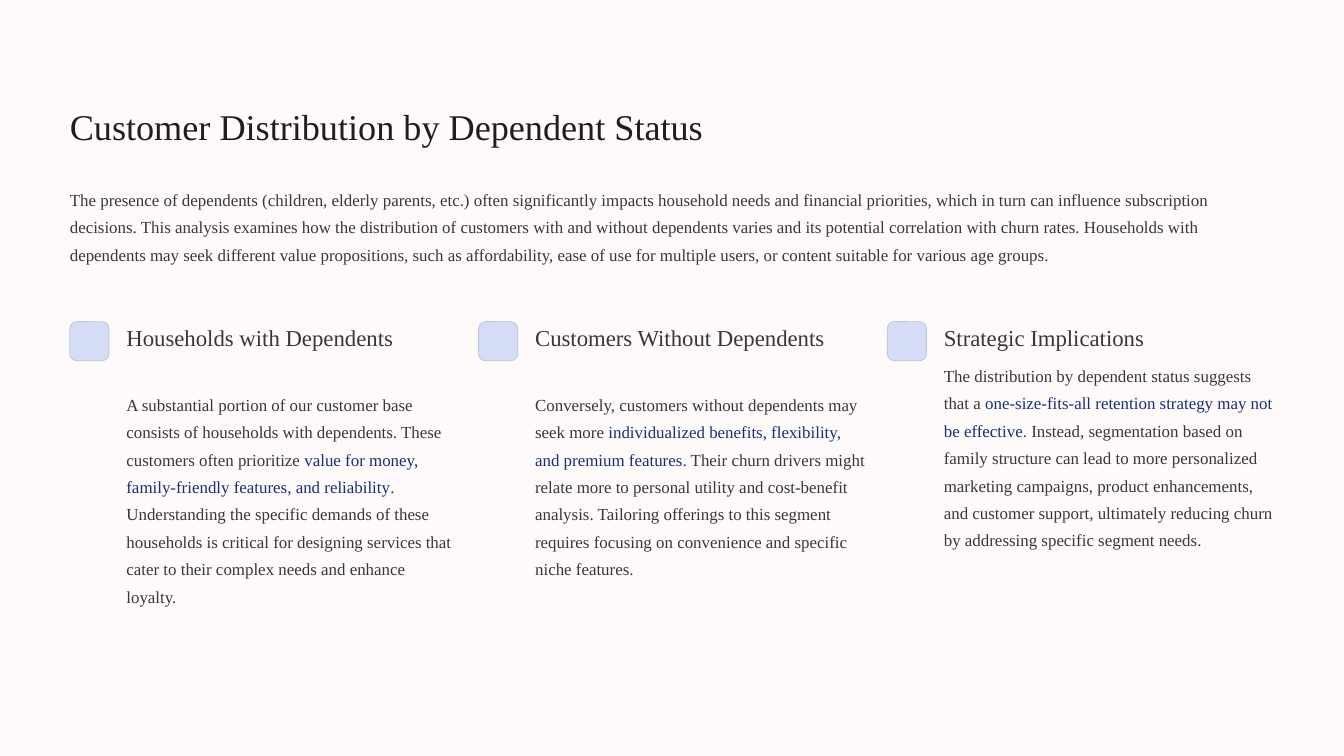
from dataclasses import dataclass

from pptx import Presentation
from pptx.dml.color import RGBColor as Rgb
from pptx.enum.shapes import MSO_SHAPE as Kind
from pptx.enum.text import MSO_ANCHOR as Anchor, MSO_AUTO_SIZE as Fit, PP_ALIGN as Align
from pptx.util import Pt
from lxml.etree import SubElement


@dataclass(frozen=True)
class Theme:
    font: str = "Times New Roman"
    back: Rgb = Rgb.from_string("FFFAFA")
    dark: Rgb = Rgb.from_string("1F1E1E")
    ink: Rgb = Rgb.from_string("3B3535")
    accent: Rgb = Rgb.from_string("1A2D7A")
    tile: Rgb = Rgb.from_string("D5DCF6")
    edge: Rgb = Rgb.from_string("BBC2DC")
    # Each style is type size and line pitch
    title: tuple = (38.8, 48.8)
    head: tuple = (24.4, 30.6)
    body: tuple = (18.1, 29.4)


THEME = Theme()

TITLE = "Customer Distribution by Dependent Status"
INTRO = (
    "The presence of dependents (children, elderly parents, etc.) often significantly "
    "impacts household needs and financial priorities, which in turn can influence "
    "subscription decisions. This analysis examines how the distribution of customers "
    "with and without dependents varies and its potential correlation with churn rates. "
    "Households with dependents may seek different value propositions, such as "
    "affordability, ease of use for multiple users, or content suitable for various "
    "age groups."
)
# Heading, heading height, then body text before, in and after the accent
GROUPS = [
    ("Households with Dependents", 67, (
        "A substantial portion of our customer base consists of households with "
        "dependents. These customers often prioritize ",
        "value for money, family-friendly features, and reliability",
        ". Understanding the specific demands of these households is critical for "
        "designing services that cater to their complex needs and enhance loyalty.")),
    ("Customers Without Dependents", 67, (
        "Conversely, customers without dependents may seek more ",
        "individualized benefits, flexibility, and premium features",
        ". Their churn drivers might relate more to personal utility and cost-benefit "
        "analysis. Tailoring offerings to this segment requires focusing on convenience "
        "and specific niche features.")),
    ("Strategic Implications", 36, (
        "The distribution by dependent status suggests that a ",
        "one-size-fits-all retention strategy may not be effective",
        ". Instead, segmentation based on family structure can lead to more personalized "
        "marketing campaigns, product enhancements, and customer support, ultimately "
        "reducing churn by addressing specific segment needs.")),
]


def place(shape, x, y, w, h):
    shape.left, shape.top, shape.width, shape.height = Pt(x), Pt(y), Pt(w), Pt(h)


def write(shape, parts, style, color):
    """Fill a text shape; every second part takes the accent colour."""
    size, pitch = style
    frame = shape.text_frame
    frame.word_wrap = True
    frame.auto_size = Fit.NONE
    frame.vertical_anchor = Anchor.TOP
    frame.margin_left = frame.margin_right = 0
    frame.margin_top = frame.margin_bottom = 0
    para = frame.paragraphs[0]
    para.alignment = Align.LEFT
    para.line_spacing = Pt(pitch)
    para.space_before = Pt(0)
    for i, part in enumerate(parts):
        run = para.add_run()
        run.text = part
        run.font.name = THEME.font
        run.font.size = Pt(size)
        run.font.color.rgb = THEME.accent if i % 2 else color
    return para


def add_intro(slide, x, y, w):
    """Title with the opening paragraph under it."""
    title, body = slide.placeholders
    place(title, x, y, w, 58)
    write(title, [TITLE], THEME.title, THEME.dark)
    place(body, x, y + 85.7, w, 128)
    props = write(body, [INTRO], THEME.body, THEME.ink)._p.get_or_add_pPr()
    # Plain paragraph: no bullet, no hanging indent
    props.set("marL", "0")
    props.set("indent", "0")
    SubElement(props, props.tag.replace("pPr", "buNone"))


def add_group(slide, x, y, w, h, group):
    """Tile at the left, heading and body beside it."""
    name, tall, parts = group
    side, inset = 42, 60.6
    tile = slide.shapes.add_shape(Kind.ROUNDED_RECTANGLE, Pt(x), Pt(y), Pt(side), Pt(side))
    tile.adjustments[0] = 0.18
    tile.shadow.inherit = False
    tile.fill.solid()
    tile.fill.fore_color.rgb = THEME.tile
    tile.line.color.rgb = THEME.edge
    tile.line.width = Pt(0.75)

    left, top, wide = x + inset, y + 1, w - inset
    head = slide.shapes.add_textbox(Pt(left), Pt(top), Pt(wide), Pt(tall))
    write(head, [name], THEME.head, THEME.ink)
    low = top + tall + 2.2
    body = slide.shapes.add_textbox(Pt(left), Pt(low), Pt(wide), Pt(y + h - low))
    write(body, parts, THEME.body, THEME.ink)


def main():
    deck = Presentation()
    deck.slide_width, deck.slide_height = Pt(1440), Pt(810)
    slide = deck.slides.add_slide(deck.slide_layouts[1])
    slide.background.fill.solid()
    slide.background.fill.fore_color.rgb = THEME.back

    left, wide, gap = 74.8, 1291, 22.8
    add_intro(slide, left, 109.4, wide)
    # Three equal columns
    col = (wide - gap * (len(GROUPS) - 1)) / len(GROUPS)
    for i, group in enumerate(GROUPS):
        add_group(slide, left + i * (col + gap), 344.6, col, 347, group)
    deck.save("out.pptx")


if __name__ == "__main__":
    main()
